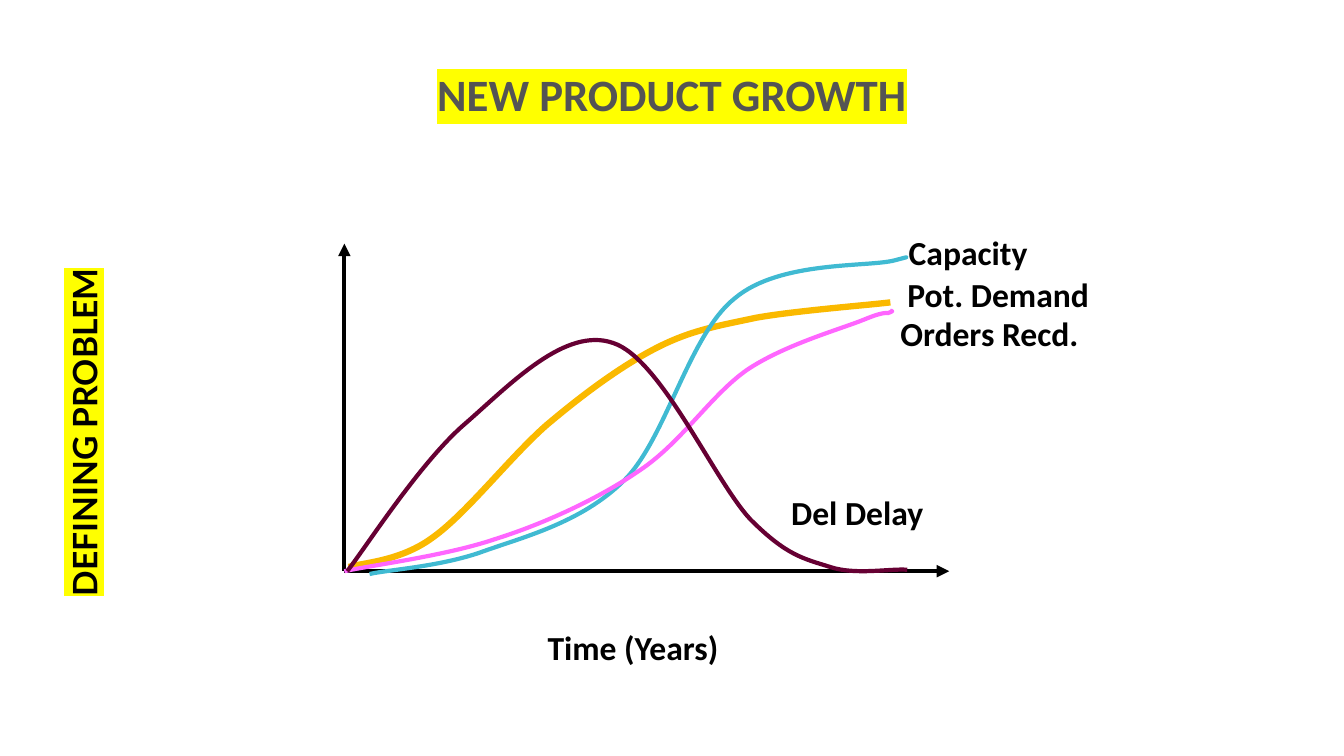
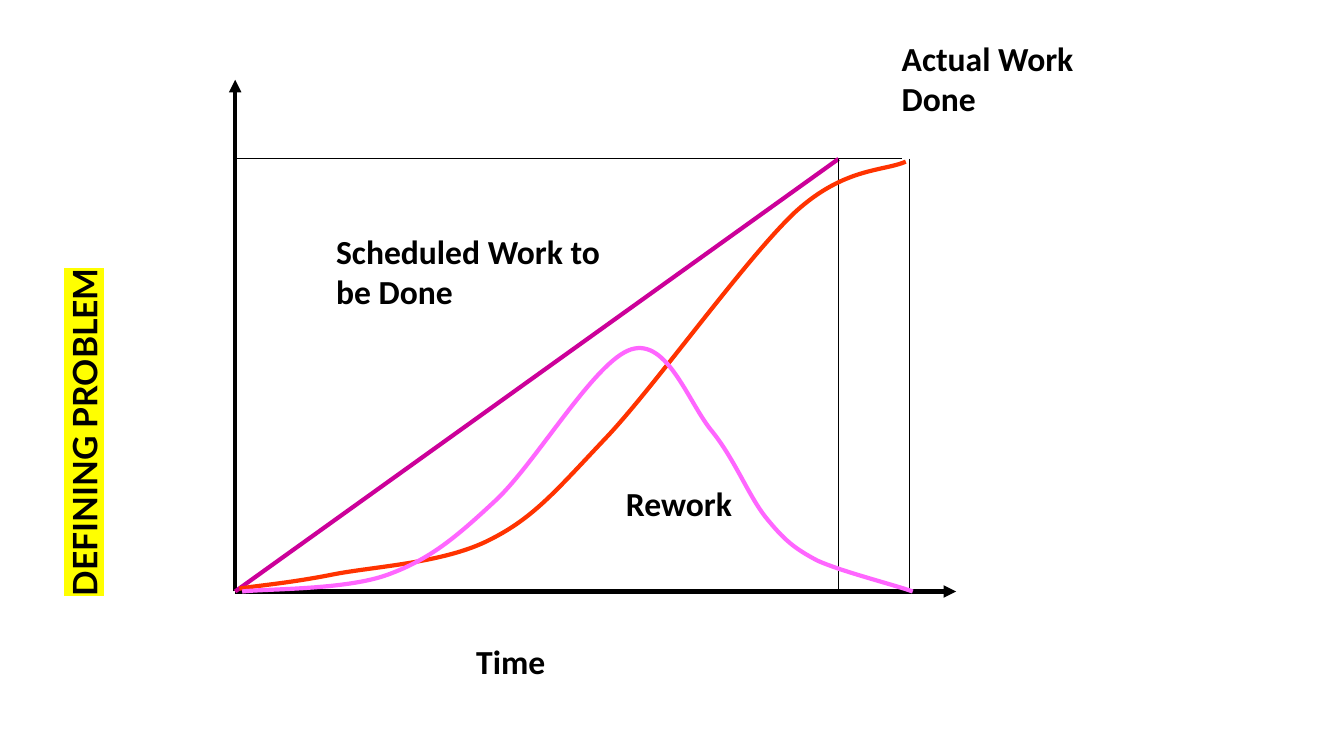
from lxml import etree
from pptx import Presentation
from pptx.dml.color import RGBColor
from pptx.enum.shapes import MSO_CONNECTOR
from pptx.enum.text import MSO_ANCHOR, PP_ALIGN
from pptx.oxml.ns import qn
from pptx.util import Pt

COLORS = {
    "ink": "000000", "title": "545454", "mark": "FFFF00",
    "gold": "FAB900", "teal": "40BAD2", "pink": "FF66FF",
    "wine": "660033", "magenta": "CC0099", "orange": "FF3300",
}
LABEL = {"size": Pt(24), "bold": True, "name": "Calibri"}
TITLE = {**LABEL, "size": Pt(32)}
SIDE = {**LABEL, "name": "Lato"}

GROWTH = {
    "box": (246, 174, 432, 234),
    "curves": [
        ("gold", 4.5, [
            (3, 3), (13, 6), (40, 7), (63, 24), (87, 41), (118, 81), (144, 104),
            (170, 126), (197, 146), (222, 159), (247, 172), (266, 175), (294, 181),
            (322, 186), (374, 190), (390, 192)]),
        ("teal", 3, [
            (18, -2), (31, 1), (66, 3), (96, 13), (126, 24), (169, 34), (200, 65),
            (230, 95), (246, 169), (279, 195), (311, 222), (374, 217), (393, 222),
            (412, 227), (393, 222), (393, 222)]),
        ("pink", 3, [
            (0, 0), (18, 4), (73, 11), (108, 23), (143, 34), (182, 52), (211, 72),
            (241, 92), (262, 126), (288, 144), (315, 162), (355, 173), (372, 180),
            (389, 187), (387, 183), (390, 185), (393, 186), (390, 186), (390, 186)]),
        ("wine", 3, [
            (2, 0), (16, 18), (55, 79), (87, 106), (119, 134), (158, 175), (192, 163),
            (226, 152), (264, 65), (290, 37), (316, 11), (328, 9), (347, 3),
            (365, -3), (390, 2), (402, 1)]),
    ],
    "labels": [
        ("Time (Years)", 138, -36, 198, 36),
        ("Pot. Demand", 395, 216, 174, 36),
        ("Capacity", 396, 246, 138, 36),
        ("Orders Recd.", 390, 188, 174, 36),
        ("Del Delay", 312, 60, 126, 36),
    ],
}
REWORK = {
    "box": (168, 57, 515, 365.5),
    "lines": [
        ("ink", 0.75, (0, 309), (476, 309)),
        ("magenta", 3, (0, 0), (431, 309)),
        ("ink", 0.75, (431, 309), (431, 0)),
        ("ink", 0.75, (482, 309), (482, 0)),
    ],
    "curves": [
        ("orange", 3, [
            (3, 2), (14, 4), (39, 6), (69, 12), (99, 18), (149, 20), (182, 37),
            (214, 53), (230, 73), (267, 112), (303, 151), (365, 238), (400, 271),
            (435, 303), (463, 300), (479, 307)]),
        ("pink", 3, [
            (5, 0), (22, 2), (79, 1), (109, 12), (139, 23), (157, 38), (186, 65),
            (215, 92), (257, 165), (283, 173), (309, 181), (324, 134), (341, 114),
            (357, 94), (367, 68), (379, 53), (392, 37), (399, 31), (416, 22),
            (434, 14), (470, 5), (484, 0)]),
    ],
    "labels": [
        ("Scheduled Work to be Done", 65, 261, 212, 66),
        ("Actual Work Done", 469, 399, 161, 66),
        ("Time", 165, -32, 120, 36),
        ("Rework", 272, 81, 108, 36),
    ],
}


def rgb(name):
    return RGBColor.from_string(COLORS[name])


def add_text(shapes, text, box, style, color="ink", mark=None):
    sp = shapes.add_textbox(*map(Pt, box))
    tf = sp.text_frame
    tf.word_wrap = True
    r = tf.paragraphs[0].add_run()
    r.text = text
    r.font.color.rgb = rgb(color)
    if mark:
        highlight = etree.SubElement(r.font._element, qn("a:highlight"))
        etree.SubElement(highlight, qn("a:srgbClr"), val=COLORS[mark])
    for key, value in style.items():
        setattr(r.font, key, value)
    return tf


def set_line(sp, color, width):
    sp.line.color.rgb = rgb(color)
    sp.line.width = Pt(width)


def add_line(shapes, start, end, color, width, arrow=False):
    sp = shapes.add_connector(MSO_CONNECTOR.STRAIGHT, *map(Pt, start + end))
    set_line(sp, color, width)
    if arrow:
        etree.SubElement(sp.line._get_or_add_ln(), qn("a:tailEnd"), type="triangle")
    etree.SubElement(sp._element.spPr, qn("a:effectLst"))


def add_curve(shapes, points, color, width):
    points = [(Pt(x), Pt(y)) for x, y in points]
    builder = shapes.build_freeform(*points[0])
    builder.add_line_segments(points[1:], close=False)
    sp = builder.convert_to_shape()
    segments = list(sp._element.iter(qn("a:lnTo")))
    for i in range(0, len(segments), 3):
        bezier = etree.Element(qn("a:cubicBezTo"))
        segments[i].addprevious(bezier)
        for segment in segments[i:i + 3]:
            bezier.append(segment[0])
            segment.getparent().remove(segment)
    sp.shadow.inherit = False
    sp.fill.background()
    set_line(sp, color, width)


def add_plot(s, box, curves, labels, lines=()):
    left, top, width, height = box

    def at(point):
        return left + point[0], top + height - point[1]

    shapes = s.shapes.add_group_shape().shapes
    for end in ((width, 0), (0, height)):
        add_line(shapes, at((0, 0)), at(end), "ink", 3, arrow=True)
    for color, weight, start, end in lines:
        add_line(shapes, at(start), at(end), color, weight)
    for color, weight, points in curves:
        add_curve(shapes, [at(point) for point in points], color, weight)
    for text, x, y, w, h in labels:
        add_text(shapes, text, (*at((x, y)), w, h), LABEL)


def add_title(s, text, box):
    tf = add_text(s.shapes, text, box, TITLE, "title", "mark")
    tf.vertical_anchor = MSO_ANCHOR.MIDDLE
    tf.paragraphs[0].alignment = PP_ALIGN.CENTER


def add_side_heading(s, text, box):
    tf = add_text(s.shapes, text, box, SIDE, mark="mark")
    tf._txBody.bodyPr.set("vert", "vert270")


def add_plot_slide(prs, plot, title=None):
    s = prs.slides.add_slide(prs.slide_layouts[6])
    if title:
        add_title(s, title, (156, 22, 648, 90))
    add_plot(s, **plot)
    add_side_heading(s, "DEFINING PROBLEM", (42, 47, 44, 386))


def main():
    prs = Presentation()
    prs.slide_width, prs.slide_height = Pt(960), Pt(540)
    add_plot_slide(prs, GROWTH, "NEW PRODUCT GROWTH")
    add_plot_slide(prs, REWORK)
    prs.save("out.pptx")


if __name__ == "__main__":
    main()
